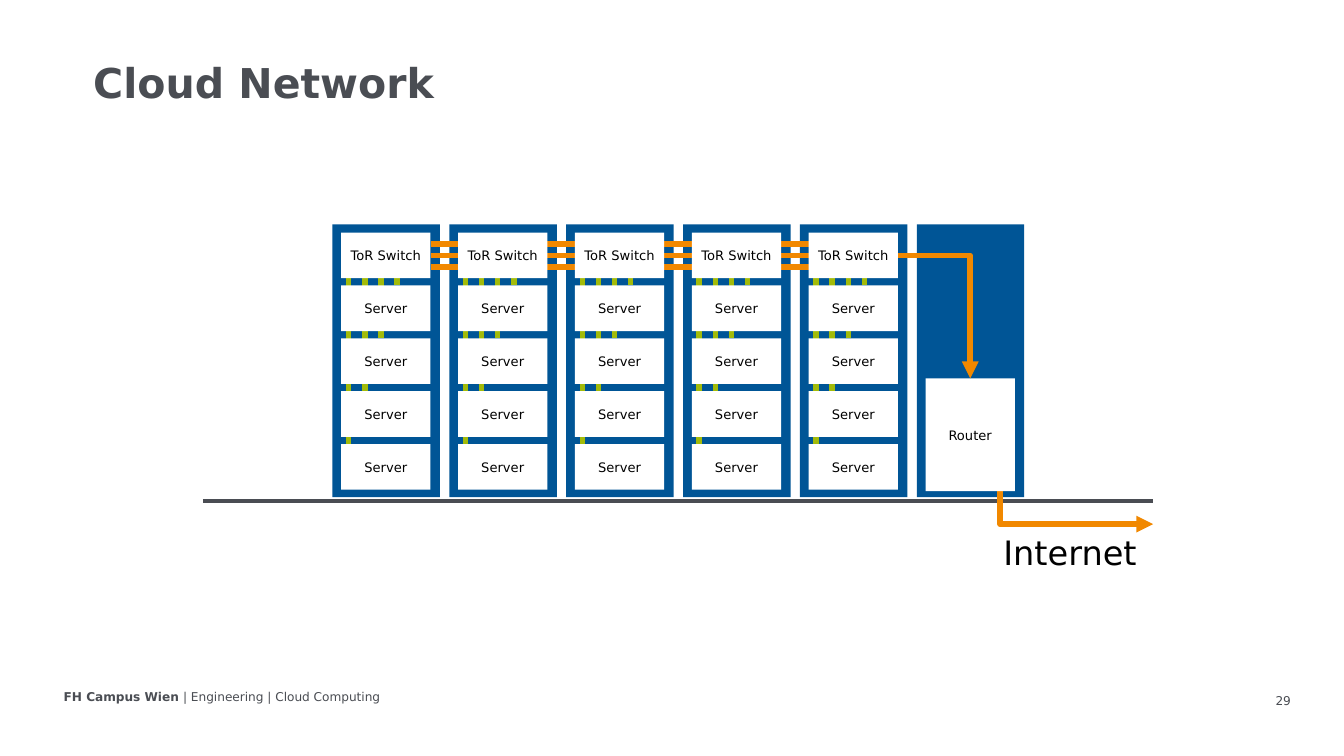
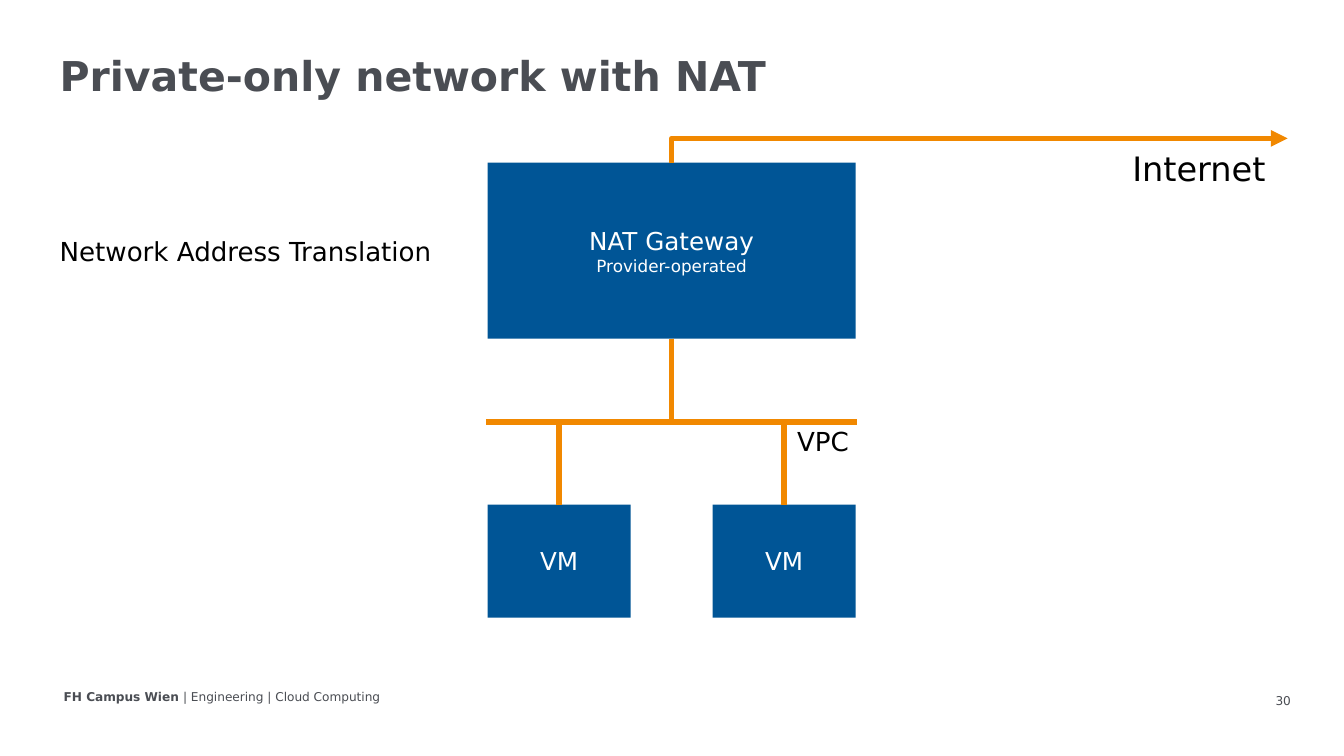
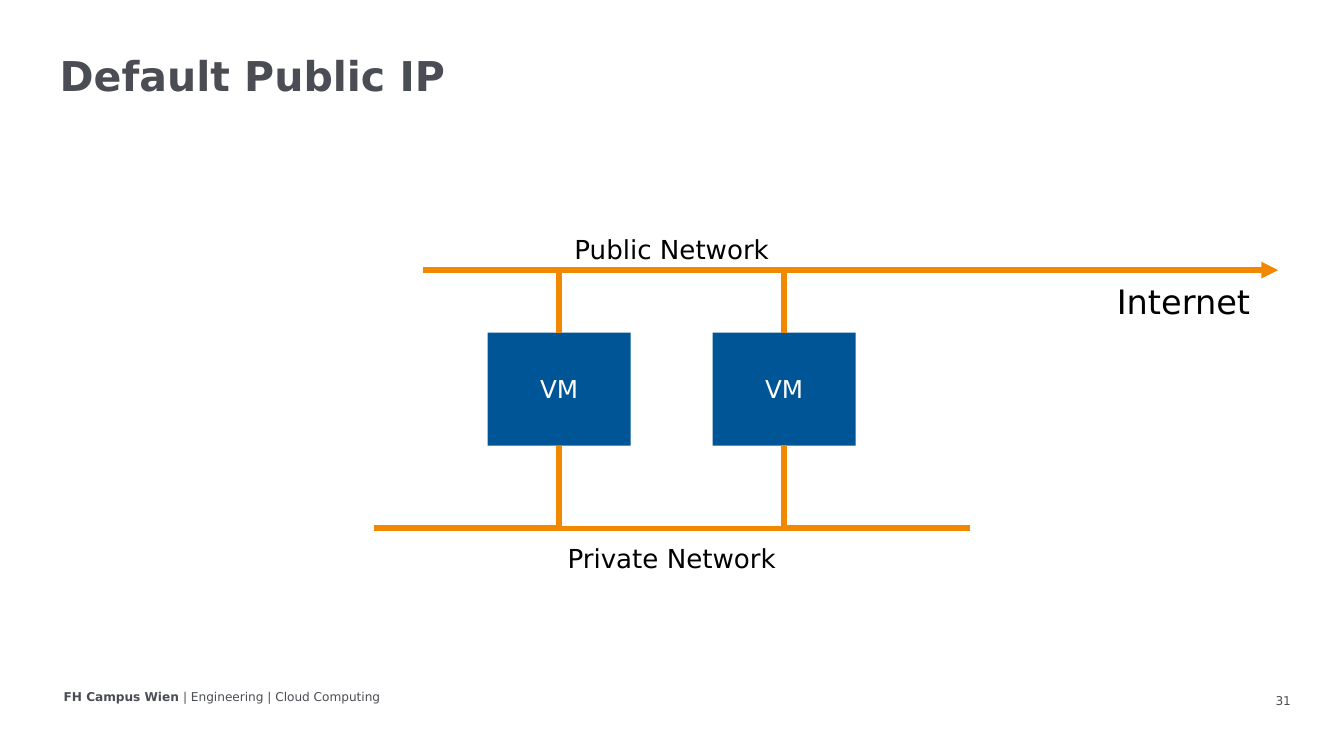
from dataclasses import dataclass

from lxml.etree import SubElement
from pptx import Presentation
from pptx.dml.color import RGBColor
from pptx.enum.shapes import MSO_CONNECTOR, MSO_SHAPE
from pptx.enum.text import MSO_ANCHOR, PP_ALIGN
from pptx.oxml.ns import qn
from pptx.util import Inches, Pt


@dataclass(frozen=True)
class Theme:
    font: str = "DejaVu Sans"
    grey: str = "4A4D53"
    blue: str = "005596"
    orange: str = "F18800"
    green: str = "A2BB0A"
    white: str = "FFFFFF"
    black: str = "000000"
    title_size: float = 44
    internet_size: float = 36
    label_size: float = 28
    box_size: float = 26.4
    detail_size: float = 18
    unit_size: float = 14
    footer_size: float = 13
    cable_width: float = 6
    ground_width: float = 4.5


TOP, LEFT, BOTTOM, RIGHT = range(4)
VM_CENTERS = (83.25, 116.75)


class Deck:
    COLUMNS = 200.1
    ROWS = 112.5

    def __init__(self, theme):
        self.theme = theme
        self.presentation = Presentation()
        self.presentation.slide_width = Inches(20.01)
        self.presentation.slide_height = Inches(11.25)
        self.slide = None

    def x(self, columns):
        return round(self.presentation.slide_width * columns / self.COLUMNS)

    def y(self, rows):
        return round(self.presentation.slide_height * rows / self.ROWS)

    def area(self, left, top, width, height):
        return self.x(left), self.y(top), self.x(width), self.y(height)

    def new_slide(self, title, number, left=7.9, top=7.8):
        theme = self.theme
        layout = self.presentation.slide_layouts[6]
        self.slide = self.presentation.slides.add_slide(layout)
        frame = self.text((149.2, 102.1, 45, 4.2), str(number), theme.footer_size,
                          theme.grey, align=PP_ALIGN.RIGHT)
        frame.vertical_anchor = MSO_ANCHOR.MIDDLE
        frame.margin_left = frame.margin_right = Inches(0.2)
        frame.margin_top = frame.margin_bottom = Inches(0.1)
        footer = self.text((8.5, 102.1, 67.8, 3.2), "FH Campus Wien ",
                           theme.footer_size, theme.grey, bold=True)
        self.run(footer.paragraphs[0], "| Engineering | Cloud Computing",
                 theme.footer_size, theme.grey)
        heading = self.text((left, top, 186.3, 7.7), title, theme.title_size,
                            theme.grey, bold=True)
        heading.paragraphs[0].line_spacing = 0.9

    def run(self, paragraph, text, size, color, bold=False):
        run = paragraph.add_run()
        run.text = text
        run.font.name = self.theme.font
        run.font.size = Pt(size)
        run.font.bold = bold
        run.font.color.rgb = RGBColor.from_string(color)

    def text(self, area, text, size, color, bold=False, align=PP_ALIGN.LEFT, wrap=True):
        frame = self.slide.shapes.add_textbox(*self.area(*area)).text_frame
        frame.word_wrap = wrap
        frame.paragraphs[0].alignment = align
        self.run(frame.paragraphs[0], text, size, color, bold)
        return frame

    def label(self, area, text, size=None, align=PP_ALIGN.LEFT):
        self.text(area, text, size or self.theme.label_size, self.theme.black,
                  align=align, wrap=False)

    def internet(self, left, top):
        self.label((left, top, 22.7, 7.1), "Internet", self.theme.internet_size)

    def box(self, area, fill, color=None, lines=()):
        shape = self.slide.shapes.add_shape(MSO_SHAPE.RECTANGLE, *self.area(*area))
        shape.shadow.inherit = False
        shape.fill.solid()
        shape.fill.fore_color.rgb = RGBColor.from_string(fill)
        shape.line.fill.background()
        frame = shape.text_frame
        frame.word_wrap = True
        frame.vertical_anchor = MSO_ANCHOR.MIDDLE
        for index, (text, size) in enumerate(lines):
            paragraph = frame.add_paragraph() if index else frame.paragraphs[0]
            paragraph.alignment = PP_ALIGN.CENTER
            self.run(paragraph, text, size, color)
        return shape

    def unit(self, area, name):
        theme = self.theme
        return self.box(area, theme.white, theme.black, [(name, theme.unit_size)])

    def node(self, area, *lines):
        return self.box(area, self.theme.blue, self.theme.white, lines)

    def machines(self, top):
        return [self.node((center - 10.65, top, 21.3, 16.8), ("VM", self.theme.box_size))
                for center in VM_CENTERS]

    def line(self, start, end, color=None, width=None, arrow=False,
             kind=MSO_CONNECTOR.STRAIGHT):
        connector = self.slide.shapes.add_connector(
            kind, self.x(start[0]), self.y(start[1]), self.x(end[0]), self.y(end[1]))
        connector.line.color.rgb = RGBColor.from_string(color or self.theme.orange)
        connector.line.width = Pt(width or self.theme.cable_width)
        if arrow:
            outline = connector.line._get_or_add_ln()
            SubElement(outline, qn("a:tailEnd"), type="triangle")
        SubElement(connector._element.spPr, qn("a:effectLst"))
        return connector

    def elbow(self, start, end, source, site, target=None, target_site=TOP,
              bend=None, arrow=False):
        connector = self.line(start, end, arrow=arrow, kind=MSO_CONNECTOR.ELBOW)
        connector.begin_connect(source, site)
        if target is not None:
            connector.end_connect(target, target_site)
        upright = site in (TOP, BOTTOM)
        across, down = self.x(end[0] - start[0]), self.y(end[1] - start[1])
        middle_x = self.x((start[0] + end[0]) / 2)
        middle_y = self.y((start[1] + end[1]) / 2)
        width, height = abs(across), abs(down)
        turn, flip_h, flip_v = 0, across < 0, down < 0
        if upright:
            width, height = height, width
            if across * down < 0:
                turn, flip_h, flip_v = 90, down < 0, across > 0
            else:
                turn, flip_h, flip_v = 270, down > 0, across < 0
        connector.left, connector.top = middle_x - width // 2, middle_y - height // 2
        connector.width, connector.height = width, height
        properties = connector._element.spPr
        frame = properties.find(qn("a:xfrm"))
        frame.set("rot", str(turn * 60000))
        frame.set("flipH", str(int(flip_h)))
        frame.set("flipV", str(int(flip_v)))
        geometry = properties.find(qn("a:prstGeom"))
        if bend is None:
            geometry.set("prst", "bentConnector2")
        else:
            axis = int(upright)
            share = (bend - start[axis]) / (end[axis] - start[axis])
            SubElement(geometry.find(qn("a:avLst")), qn("a:gd"), name="adj1",
                       fmla=f"val {round(share * 100000)}")

    def bring_to_front(self, shape):
        self.slide.shapes._spTree.append(shape._element)


def cloud_network(deck):
    theme = deck.theme
    deck.new_slide("Cloud Network", 29, left=12.9, top=8.9)
    racks = [49.5 + 17.4 * index for index in range(6)]
    inset, unit_width, unit_height = 1.3, 13.3, 6.8
    levels = [34.6 + 7.87 * index for index in range(5)]
    for left in racks:
        deck.box((left, 33.4, 16, 40.6), theme.blue)
    deck.line((30.2, 74.6), (171.7, 74.6), theme.grey, theme.ground_width)
    for row in (36.3, 38, 39.7):
        deck.line((racks[0] + inset + unit_width, row), (racks[4] + inset, row))
    for left in racks[:5]:
        for index, level in enumerate(reversed(levels[1:])):
            column = left + 2.4 * (index + 1)
            deck.line((column, levels[0] + unit_height), (column, level), theme.green)
        for level in levels[1:]:
            deck.unit((left + inset, level, unit_width, unit_height), "Server")
        switch = deck.unit((left + inset, levels[0], unit_width, unit_height),
                           "ToR Switch")
    router_left = racks[5] + inset
    router_right = router_left + unit_width
    router = deck.unit((router_left, 56.3, unit_width, 16.8), "Router")
    deck.elbow((router_right, 64.7), (171.7, 78), router, RIGHT, bend=148.9, arrow=True)
    deck.bring_to_front(router)
    deck.elbow((racks[4] + inset + unit_width, 38), (router_left + unit_width / 2, 56.3),
               switch, RIGHT, router, arrow=True)
    deck.internet(148.4, 78.6)


def private_network(deck):
    theme = deck.theme
    deck.new_slide("Private-only network with NAT", 30)
    gateway = deck.node((72.6, 24.2, 54.8, 26.2), ("NAT Gateway", theme.box_size),
                        ("Provider-operated", theme.detail_size))
    machines = deck.machines(75.1)
    deck.elbow((100, 24.2), (191.7, 20.6), gateway, TOP, arrow=True)
    deck.internet(167.6, 21.5)
    outlet, bus = (100, 50.4), 62.8
    for center, machine in zip(VM_CENTERS, machines):
        deck.elbow(outlet, (center, 75.1), gateway, BOTTOM, machine, bend=bus)
    for bus_end in (72.4, 127.6):
        deck.elbow(outlet, (bus_end, bus), gateway, BOTTOM)
    deck.label((117.7, 62.8, 9.8, 5.7), "VPC")
    deck.label((7.9, 34.5, 58.4, 5.7), "Network Address Translation")


def public_address(deck):
    deck.new_slide("Default Public IP", 31)
    machines = deck.machines(49.5)
    left, right = VM_CENTERS
    public, private = 40.2, 78.6
    deck.elbow((left, 49.5), (190.3, public), machines[0], TOP, arrow=True)
    deck.elbow((right, 49.5), (63, public), machines[1], TOP)
    for center, machine, bus_end in zip(VM_CENTERS, machines, (55.7, 144.4)):
        deck.elbow((center, 66.3), (bus_end, private), machine, BOTTOM)
    deck.elbow((right, 66.2), (left, 66.4), machines[1], BOTTOM,
               machines[0], BOTTOM, bend=private)
    deck.internet(165.3, 41.3)
    deck.label((83.3, 80.2, 33.4, 5.7), "Private Network", align=PP_ALIGN.CENTER)
    deck.label((84.35, 34.3, 31.3, 5.7), "Public Network", align=PP_ALIGN.CENTER)


def main():
    deck = Deck(Theme())
    cloud_network(deck)
    private_network(deck)
    public_address(deck)
    deck.presentation.save("out.pptx")


if __name__ == "__main__":
    main()
